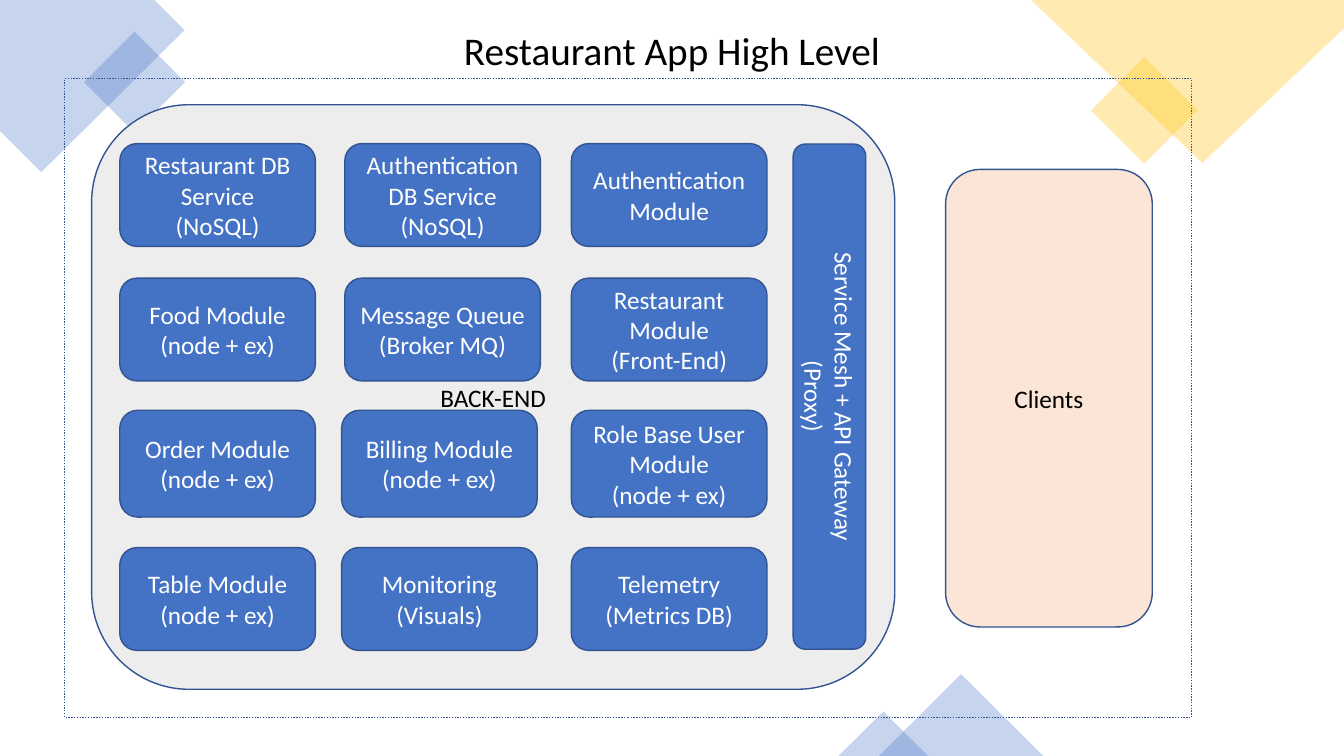
from lxml.etree import SubElement
from pptx import Presentation
from pptx.dml.color import RGBColor
from pptx.enum.dml import MSO_LINE
from pptx.enum.shapes import MSO_SHAPE
from pptx.enum.text import MSO_ANCHOR, PP_ALIGN
from pptx.oxml.ns import qn
from pptx.util import Cm, Pt

BLUE = RGBColor(0x44, 0x72, 0xC4)
NAVY = RGBColor(0x32, 0x54, 0x91)
GOLD = RGBColor(0xFF, 0xC0, 0x00)
PEACH = RGBColor(0xFB, 0xE5, 0xD6)
GREY = RGBColor(0xED, 0xED, 0xED)
BLACK = RGBColor(0x00, 0x00, 0x00)
WHITE = RGBColor(0xFF, 0xFF, 0xFF)

WIDTH, HEIGHT = 33.87, 19.05
MODULE_WIDTH = 4.93
LEFT_COLUMN, RIGHT_COLUMN = 3.02, 14.4
MODULE_ROWS = [
    (3.62, 2.59, 8.69, [
        ["Restaurant DB Service", "(NoSQL)"],
        ["Authentication DB Service", "(NoSQL)"],
        ["Authentication Module"]]),
    (7.01, 2.59, 8.69, [
        ["Food Module", "(node + ex)"],
        ["Message Queue", "(Broker MQ)"],
        ["Restaurant Module", "(Front-End)"]]),
    (10.34, 2.69, 8.61, [
        ["Order Module", "(node + ex)"],
        ["Billing Module", "(node + ex)"],
        ["Role Base User Module", "(node + ex)"]]),
    (13.8, 2.59, 8.61, [
        ["Table Module", "(node + ex)"],
        ["Monitoring", "(Visuals)"],
        ["Telemetry", "(Metrics DB)"]]),
]


def set_format(target, values):
    """Set each attribute of the target from a dict of format values."""
    for name, value in values.items():
        setattr(target, name, value)


def write_lines(frame, lines, color, size=18):
    """Write one centred paragraph for each line."""
    set_format(frame, {"word_wrap": True, "vertical_anchor": MSO_ANCHOR.MIDDLE})
    for index, line in enumerate(lines):
        para = frame.add_paragraph() if index else frame.paragraphs[0]
        para.alignment = PP_ALIGN.CENTER
        span = para.add_run()
        span.text = line
        set_format(span.font, {"name": "Calibri", "size": Pt(size)})
        span.font.color.rgb = color


def tint(shape, color):
    """Give a decoration a 30 percent opaque fill and no outline."""
    shape.shadow.inherit = False
    shape.fill.solid()
    shape.fill.fore_color.rgb = color
    shape.line.fill.background()
    for clr in shape.fill._xPr.find(qn("a:solidFill")):
        SubElement(clr, qn("a:alpha"), val="30000")


def add_decoration(page, kind, place, color, rotation=0):
    """Add a translucent preset shape."""
    shape = page.shapes.add_shape(kind, *map(Cm, place))
    shape.rotation = rotation
    tint(shape, color)


def add_corner(page, points, color):
    """Add a translucent polygon at a corner of the page."""
    start, *others = [(Cm(x), Cm(y)) for x, y in points]
    builder = page.shapes.build_freeform(*start)
    builder.add_line_segments(others, close=True)
    tint(builder.convert_to_shape(), color)


def add_box(page, kind, place, fill=None, lines=(), color=WHITE):
    """Add an outlined box with centred text."""
    box = page.shapes.add_shape(kind, *map(Cm, place))
    box.shadow.inherit = False
    if fill is None:
        box.fill.background()
    else:
        box.fill.solid()
        box.fill.fore_color.rgb = fill
    box.line.color.rgb = NAVY
    box.line.width = Pt(1)
    write_lines(box.text_frame, lines, color)
    return box


def add_title(page, text):
    """Add the heading of the page."""
    box = page.shapes.add_textbox(Cm(10.52), Cm(0.53), Cm(12.83), Cm(1.45))
    write_lines(box.text_frame, [text], BLACK, 28)


def add_modules(page):
    """Add the grid of back-end modules."""
    for top, height, middle_column, labels in MODULE_ROWS:
        columns = (LEFT_COLUMN, middle_column, RIGHT_COLUMN)
        for left, lines in zip(columns, labels):
            place = (left, top, MODULE_WIDTH, height)
            add_box(page, MSO_SHAPE.ROUNDED_RECTANGLE, place, BLUE, lines)


def main():
    """Build the deck and save it."""
    deck = Presentation()
    set_format(deck, {"slide_width": Cm(WIDTH), "slide_height": Cm(HEIGHT)})
    page = deck.slides.add_slide(deck.slide_layouts[6])

    add_corner(page, [(3.89, 0), (0, 0), (0, 3.3), (1.04, 4.34), (4.65, 0.76)], BLUE)
    add_decoration(page, MSO_SHAPE.RECTANGLE, (2.49, 1.17, 1.8, 1.8), BLUE, 315)
    add_decoration(page, MSO_SHAPE.RECTANGLE, (27.89, 1.83, 1.9, 1.9), GOLD, 315)
    add_corner(page, [(WIDTH, 0), (25.98, 0), (30.3, 4.11), (WIDTH, 0.71)], GOLD)
    add_decoration(page, MSO_SHAPE.ISOSCELES_TRIANGLE, (22.15, 16.99, 4.14, 2.06), BLUE)
    add_decoration(page, MSO_SHAPE.ISOSCELES_TRIANGLE, (21.13, 17.93, 2.26, 1.12), BLUE)

    add_title(page, "Restaurant App High Level")
    frame = add_box(page, MSO_SHAPE.RECTANGLE, (1.63, 1.98, 28.4, 16.1))
    frame.line.dash_style = MSO_LINE.ROUND_DOT
    rounded = MSO_SHAPE.ROUNDED_RECTANGLE
    add_box(page, rounded, (23.83, 4.27, 5.21, 11.53), PEACH, ["Clients"], BLACK)
    add_box(page, rounded, (2.31, 2.64, 20.24, 14.73), GREY, ["BACK-END"], BLACK)
    add_modules(page)
    gateway = add_box(page, rounded, (19.99, 3.63, 1.83, 12.73), BLUE,
                      ["Service Mesh + API Gateway", "(Proxy)"])
    gateway.text_frame._txBody.bodyPr.set("vert", "vert")
    deck.save("out.pptx")


if __name__ == "__main__":
    main()
